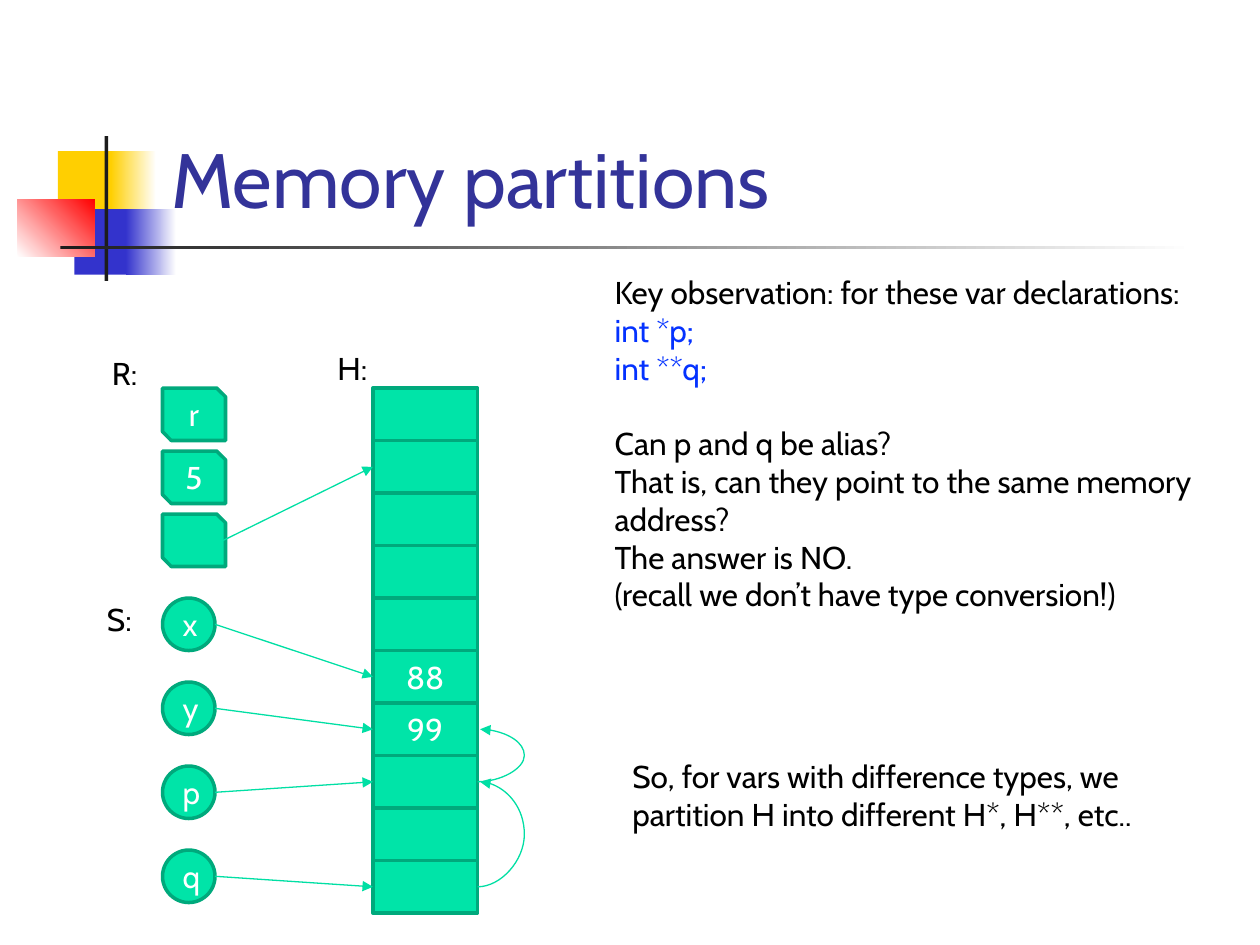
from lxml import etree
from pptx import Presentation
from pptx.dml.color import RGBColor
from pptx.enum import shapes, text
from pptx.oxml.ns import qn
from pptx.util import Inches, Pt

FONT = "Cabin"
WHITE = RGBColor(0xFF, 0xFF, 0xFF)
BLACK = RGBColor(0, 0, 0)
DARK = RGBColor(0x1C, 0x1C, 0x1C)
YELLOW = RGBColor(0xFF, 0xCF, 0x01)
BLUE = RGBColor(0x33, 0x33, 0xCC)
RED = RGBColor(0xFF, 0, 0)
TITLE = RGBColor(0x33, 0x33, 0x99)
CODE = RGBColor(0x04, 0x32, 0xFF)
GREEN = RGBColor(0, 0xE4, 0xA8)
EDGE = RGBColor(0, 0xA9, 0x7C)
ARROW = RGBColor(0, 0xDF, 0xA4)
SHAPE = shapes.MSO_SHAPE
CELL_H = 5 / 12


def style(p, size, color):
    p.font.name = FONT
    p.font.size = Pt(size)
    p.font.color.rgb = color


def add_block(s, box, colors, angle=0):
    sp = s.shapes.add_shape(SHAPE.RECTANGLE, *map(Inches, box))
    sp.shadow.inherit = False
    sp.line.fill.background()
    if len(colors) == 1:
        sp.fill.solid()
        sp.fill.fore_color.rgb = colors[0]
        return
    sp.fill.gradient()
    sp.fill.gradient_angle = angle
    for stop, color, position in zip(sp.fill.gradient_stops, colors, (0, 1)):
        stop.color.rgb = color
        stop.position = position


def add_cell(s, kind, box, label=""):
    sp = s.shapes.add_shape(kind, *map(Inches, box))
    sp.shadow.inherit = False
    sp.fill.solid()
    sp.fill.fore_color.rgb = GREEN
    sp.line.color.rgb = EDGE
    sp.line.width = Pt(2)
    if label:
        tf = sp.text_frame
        tf.vertical_anchor = text.MSO_ANCHOR.MIDDLE
        p = tf.paragraphs[0]
        p.text = label
        p.alignment = text.PP_ALIGN.CENTER
        style(p, 18, WHITE)


def add_arrow(s, start, end, bulge=None):
    kind = shapes.MSO_CONNECTOR.CURVE if bulge else shapes.MSO_CONNECTOR.STRAIGHT
    c = s.shapes.add_connector(kind, *map(Inches, (*start, *end)))
    c.line.color.rgb = ARROW
    c.line.width = Pt(0.75)
    etree.SubElement(c.line._get_or_add_ln(), qn("a:tailEnd"), type="triangle")
    pr = c._element.spPr
    etree.SubElement(pr, qn("a:effectLst"))
    if bulge:
        adjust = round(bulge / (end[0] - start[0]) * 100000)
        guides = pr.find(qn("a:prstGeom")).get_or_add_avLst()
        etree.SubElement(guides, qn("a:gd"), name="adj1", fmla=f"val {adjust}")


def add_text(s, box, lines):
    tf = s.shapes.add_textbox(*map(Inches, box)).text_frame
    tf.word_wrap = True
    tf.auto_size = text.MSO_AUTO_SIZE.SHAPE_TO_FIT_TEXT
    for i, (line, color, gap) in enumerate(lines):
        p = tf.add_paragraph() if i else tf.paragraphs[0]
        p.text = line
        if gap:
            p.space_before = Pt(gap)
        style(p, 18, color)


def add_heading(s, box):
    x, y = box[:2]
    for dx, dy, w, h, colors, angle in (
        (0.32, 0.12, 0.48, 0.52, [YELLOW], 0),
        (0.74, 0.12, 0.36, 0.52, [YELLOW, WHITE], 0),
        (0.45, 0.58, 0.46, 0.52, [BLUE], 0),
        (0.86, 0.58, 0.4, 0.52, [BLUE, WHITE], 0),
        (0, 0.5, 0.61, 0.46, [WHITE, RED], 45),
        (0.69, 0, 0.03, 1.15, [DARK], 0),
        (0.34, 0.87, 9, 0.03, [DARK, WHITE], 0),
    ):
        add_block(s, (x + dx, y + dy, w, h), colors, angle)
    title = s.shapes.title
    s.shapes._spTree.append(title._element)
    title.left, title.top = Inches(x + 1.12), Inches(y - 0.85)
    title.width, title.height = Inches(8.52), Inches(1.6)
    tf = title.text_frame
    tf.vertical_anchor = text.MSO_ANCHOR.BOTTOM
    p = tf.paragraphs[0]
    p.text = "Memory partitions"
    p.alignment = text.PP_ALIGN.LEFT
    style(p, 44, TITLE)


def add_memory(s, box):
    x, y, w, h = box
    heap_w, heap_x = 0.83, x + w - 0.83
    heap_values = {5: "88", 6: "99"}

    def heap_mid(i):
        return y + (i + 0.5) * CELL_H

    for i in range(round(h / CELL_H)):
        add_cell(s, SHAPE.RECTANGLE, (heap_x, y + i * CELL_H, heap_w, CELL_H),
                 heap_values.get(i, ""))
    for i, label in enumerate(("r", "5", "")):
        add_cell(s, SHAPE.SNIP_2_DIAG_RECTANGLE, (x, y + i * 0.5, 0.5, CELL_H), label)
    add_arrow(s, (x + 0.48, y + 1.21), (heap_x, heap_mid(1)))
    stack_y = y + 4 * CELL_H
    for i, (label, target) in enumerate((("x", 5), ("y", 6), ("p", 7), ("q", 9))):
        top = stack_y + i * 2 / 3
        add_cell(s, SHAPE.OVAL, (x, top, CELL_H, CELL_H), label)
        add_arrow(s, (x + CELL_H, top + CELL_H / 2), (heap_x, heap_mid(target)))
    for source, target in ((7, 6), (9, 7)):
        add_arrow(s, (x + w, heap_mid(source)), (x + w + 0.02, heap_mid(target)), 0.37)
    for label, dx, dy in (("R:", -0.5, -0.32), ("H:", 1.29, -0.36), ("S:", -0.54, 1.63)):
        add_text(s, (x + dx, y + dy, 0.75, 0.4), [(label, BLACK, 0)])


def add_notes_column(s, box):
    x, y, w, h = box
    add_text(s, (x, y, w, 3.13), [
        ("Key observation: for these var declarations:", BLACK, 0),
        ("int *p;", CODE, 0),
        ("int **q;", CODE, 0),
        ("Can p and q be alias?", BLACK, 21.5),
        ("That is, can they point to the same memory address?", BLACK, 0),
        ("The answer is NO.", BLACK, 0),
        ("(recall we don’t have type conversion!)", BLACK, 0),
    ])
    add_text(s, (x + 0.14, y + h - 0.71, w - 0.14, 0.71), [
        ("So, for vars with difference types, we partition H into different H*, H**, etc..",
         BLACK, 0),
    ])


def main():
    prs = Presentation()
    prs.slide_width, prs.slide_height = Inches(10), Inches(7.5)
    s = prs.slides.add_slide(prs.slide_layouts[5])
    add_heading(s, (0.14, 1.08, 9.34, 1.15))
    add_memory(s, (1.29, 3.08, 2.5, 10 * CELL_H))
    add_notes_column(s, (4.78, 2.12, 5, 4.55))
    prs.save("out.pptx")


if __name__ == "__main__":
    main()
